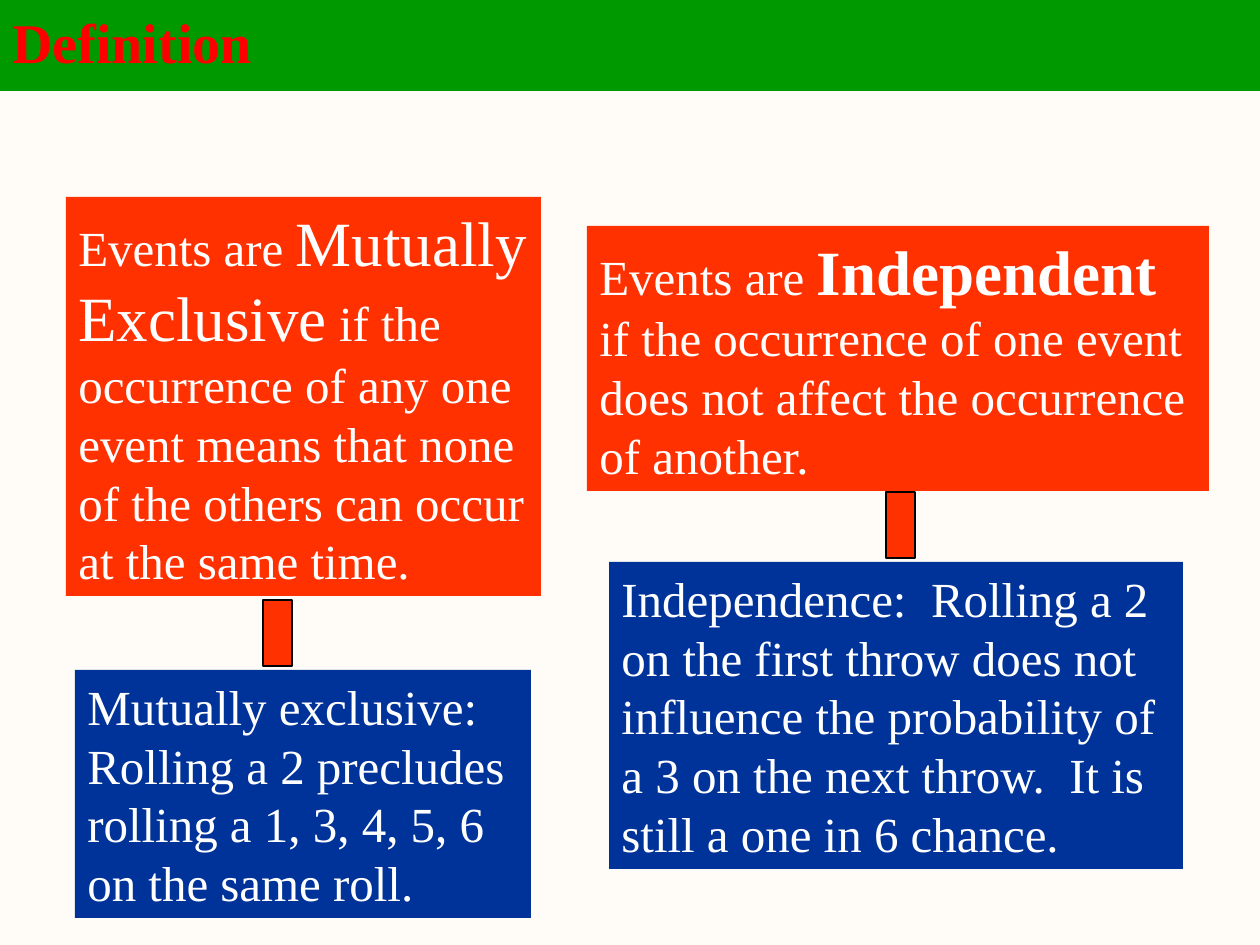
from pptx import Presentation
from pptx.dml.color import RGBColor
from pptx.enum.shapes import MSO_SHAPE
from pptx.enum.text import MSO_ANCHOR, MSO_AUTO_SIZE, PP_ALIGN
from pptx.util import Pt

RECT = MSO_SHAPE.RECTANGLE
TOP, MIDDLE = MSO_ANCHOR.TOP, MSO_ANCHOR.MIDDLE
LEFT = PP_ALIGN.LEFT
GROW = MSO_AUTO_SIZE.SHAPE_TO_FIT_TEXT

SCALE = 914400 / 126
PAPER, GREEN, ORANGE, BLUE = "FFFCF7", "009900", "FF3101", "003399"
RED, WHITE, BLACK = "FF0000", "FFFFFF", "000000"


def px(num):
    return round(num * SCALE)


def color(code):
    return RGBColor.from_string(code)


class Deck:
    font = "Times New Roman"
    size = 28

    def __init__(self, wide, high):
        self.file = Presentation()
        self.file.slide_width, self.file.slide_height = px(wide), px(high)
        self.slide = self.file.slides.add_slide(self.file.slide_layouts[6])
        back = self.slide.background.fill
        back.solid()
        back.fore_color.rgb = color(PAPER)

    def block(self, spot, fill, line=None):
        shape = self.slide.shapes.add_shape(RECT, *map(px, spot))
        shape.shadow.inherit = False
        shape.fill.solid()
        shape.fill.fore_color.rgb = color(fill)
        if line:
            shape.line.color.rgb = color(line)
            shape.line.width = Pt(0.75)
        else:
            shape.line.fill.background()
        return shape

    def label(self, shape, runs, ink=WHITE, anchor=TOP):
        """Each run is (text, size, bold)."""
        frame = shape.text_frame
        frame.word_wrap = True
        frame.vertical_anchor = anchor
        para = frame.paragraphs[0]
        para.alignment = LEFT
        for text, size, bold in runs:
            run = para.add_run()
            run.text = text
            run.font.name = self.font
            run.font.size = Pt(size)
            run.font.bold = bold
            run.font.color.rgb = color(ink)
        return para

    def panel(self, spot, fill, runs):
        shape = self.block(spot, fill)
        self.label(shape, runs)
        shape.text_frame.auto_size = GROW

    def rule(self, spot, term, bold, rest):
        self.panel(spot, ORANGE, [("Events are ", self.size, False),
                                  (term, 36, bold),
                                  (rest, self.size, False)])

    def case(self, spot, text):
        self.panel(spot, BLUE, [(text, self.size, False)])

    def link(self, left, top):
        self.block((left, top, 29, 66), ORANGE, BLACK)

    def title(self, spot, text):
        bar = self.block(spot, GREEN, GREEN)
        para = self.label(bar, [(text, 32, True)], RED, MIDDLE)
        para.line_spacing = 0.9


def main():
    deck = Deck(1260, 945)

    # Definitions
    deck.rule((587, 226, 622, 265), "Independent", True,
              " if the occurrence of one event does not affect "
              "the occurrence of another.")
    deck.rule((66, 197, 475, 399), "Mutually Exclusive", False,
              " if the occurrence of any one event means that none "
              "of the others can occur at the same time.")

    # Examples
    deck.case((75, 670, 456, 248),
              "Mutually exclusive: Rolling a 2 precludes "
              "rolling a 1, 3, 4, 5, 6 on the same roll.")
    deck.case((609, 562, 574, 307),
              "Independence:  Rolling a 2 on the first throw does not "
              "influence the probability of a 3 on the next throw.  "
              "It is still a one in 6 chance.")

    # Links from definition to example
    deck.link(263, 600)
    deck.link(886, 492)

    # Title bar
    deck.title((0, 0, 1260, 90), "Definition")

    deck.file.save("out.pptx")


if __name__ == "__main__":
    main()
